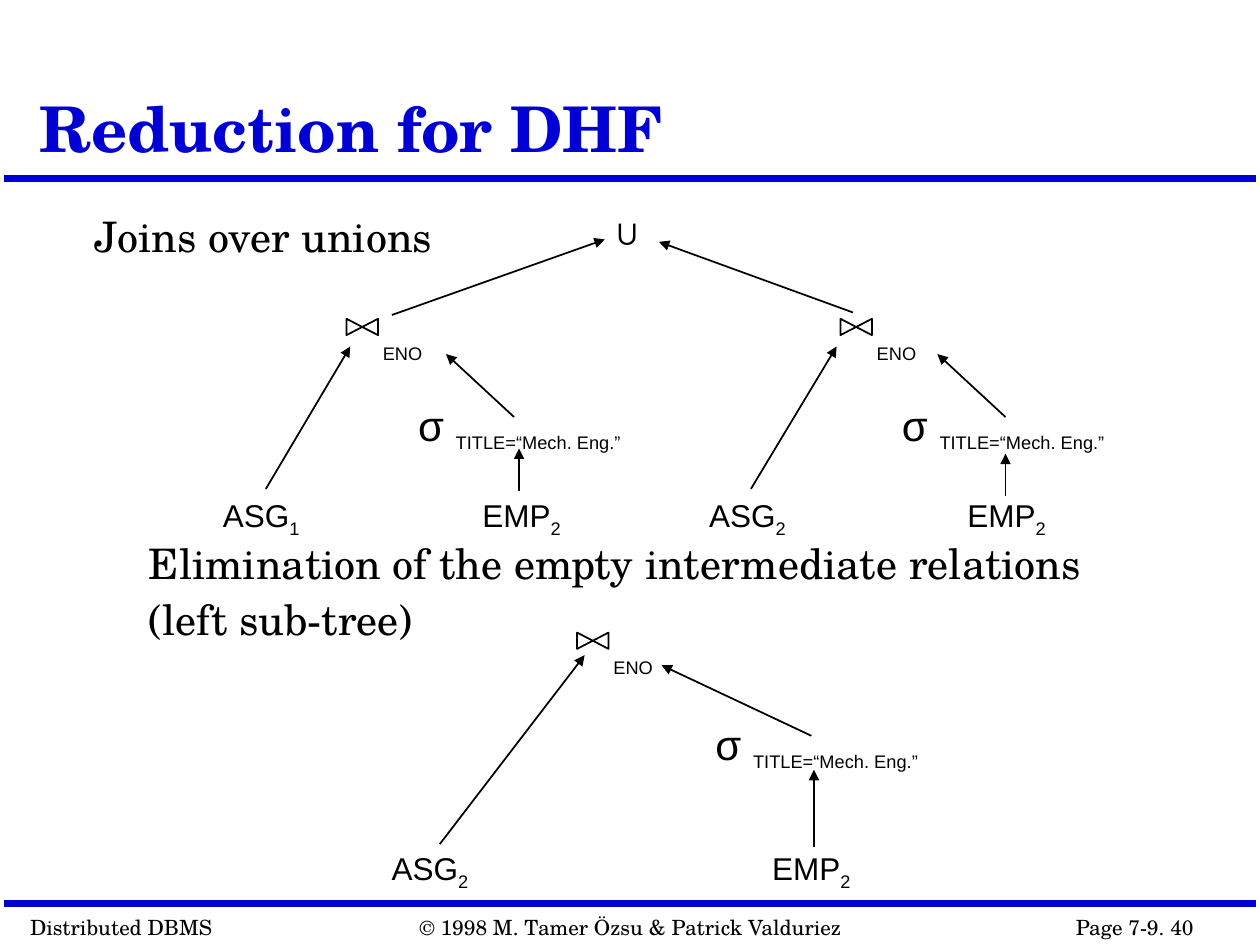
import dataclasses
import typing

import pptx
import pptx.dml.color
import pptx.enum.shapes
import pptx.enum.text
import pptx.oxml
import pptx.oxml.ns
import pptx.util

Inches = pptx.util.Inches
Point = tuple[float, float]
SERIF = "TeX Gyre Schola"
SANS = "Arial"
BLACK = "000000"
BLUE = "0000D4"
TEXT_FIT = pptx.enum.text.MSO_AUTO_SIZE


@dataclasses.dataclass(frozen=True)
class Words:
    text: str
    size: float
    font: str = SANS
    subscript: bool = False


@dataclasses.dataclass(frozen=True)
class Label:
    left: float
    top: float
    width: float
    height: float
    words: tuple[Words, ...]
    wrap: bool = False


@dataclasses.dataclass(frozen=True)
class Arrow:
    start: Point
    end: Point


def colour(value: str) -> pptx.dml.color.RGBColor:
    return pptx.dml.color.RGBColor.from_string(value)


def apply(target: typing.Any, values: dict[str, typing.Any]) -> None:
    for name, value in values.items():
        setattr(target, name, value)


def add_span(para, words: Words, ink: str = BLACK, bold: bool = False) -> None:
    span = para.add_run()
    apply(span, {"text": words.text})
    apply(span.font, {"name": words.font, "size": pptx.util.Pt(words.size), "bold": bold})
    span.font.color.rgb = colour(ink)
    if words.subscript:
        span._r.get_or_add_rPr().set("baseline", "-25000")


def add_label(page, label: Label):
    place = map(Inches, (label.left, label.top, label.width, label.height))
    box = page.shapes.add_textbox(*place)
    apply(box.text_frame, {"word_wrap": label.wrap, "auto_size": TEXT_FIT.SHAPE_TO_FIT_TEXT})
    for words in label.words:
        add_span(box.text_frame.paragraphs[0], words)
    return box


def add_line(page, start: Point, end: Point, ink: str, width: float):
    line = page.shapes.add_connector(
        pptx.enum.shapes.MSO_CONNECTOR.STRAIGHT, *map(Inches, start + end)
    )
    line.line.color.rgb = colour(ink)
    line.line.width = pptx.util.Pt(width)
    line._element.spPr.append(pptx.oxml.parse_xml(
        f'<a:effectLst {pptx.oxml.ns.nsdecls("a")}/>'
    ))
    return line


def add_arrow(page, arrow: Arrow) -> None:
    line = add_line(page, arrow.start, arrow.end, BLACK, 1)
    line.line._get_or_add_ln().append(pptx.oxml.parse_xml(
        f'<a:tailEnd {pptx.oxml.ns.nsdecls("a")} type="triangle"/>'
    ))


def add_join(page, left: float, top: float) -> None:
    add_label(page, Label(left, top, 0.56, 0.44, (Words("ENO", 18, subscript=True),), True))
    bowtie = page.shapes.add_shape(
        pptx.enum.shapes.MSO_SHAPE.FLOWCHART_COLLATE,
        *map(Inches, (left - 0.13, top - 0.03, 0.13, 0.25)),
    )
    apply(bowtie, {"rotation": 270})
    bowtie.shadow.inherit = False
    bowtie.fill.background()
    bowtie.line.color.rgb = colour(BLACK)
    bowtie.line.width = pptx.util.Pt(1)


def add_relation(page, left: float, top: float, name: str, index: str) -> None:
    words = (Words(name, 18), Words(index, 18, subscript=True))
    add_label(page, Label(left, top, 0.82, 0.44, words))


def add_selection(page, left: float, top: float) -> None:
    words = (Words("σ ", 24), Words("TITLE=“Mech. Eng.”", 18, subscript=True))
    add_label(page, Label(left, top, 1.88, 0.52, words))


def place_placeholder(shape, left: float, top: float, width: float, height: float) -> None:
    apply(shape, dict(zip(("left", "top", "width", "height"),
                          map(Inches, (left, top, width, height)))))
    apply(shape.text_frame, {"auto_size": TEXT_FIT.NONE, "word_wrap": True})


def fill_title(page) -> None:
    title = page.shapes.title
    place_placeholder(title, 0.21, 0.12, 7.83, 1.25)
    apply(title.text_frame, {"vertical_anchor": pptx.enum.text.MSO_ANCHOR.BOTTOM})
    para = title.text_frame.paragraphs[0]
    apply(para, {"alignment": pptx.enum.text.PP_ALIGN.LEFT, "line_spacing": 0.9})
    add_span(para, Words("Reduction for DHF", 36, SERIF), BLUE, True)


def fill_body(page) -> None:
    body = page.placeholders[1]
    place_placeholder(body, 1.08, 4.29, 7.83, 0.94)
    frame = body.text_frame
    lines = ("Elimination of the empty intermediate relations", "(left sub-tree)")
    for number, text in enumerate(lines):
        para = frame.add_paragraph() if number else frame.paragraphs[0]
        properties = para._p.get_or_add_pPr()
        apply(properties, {"marL": 0, "indent": 0})
        properties.append(pptx.oxml.parse_xml(f'<a:buNone {pptx.oxml.ns.nsdecls("a")}/>'))
        apply(para, {"line_spacing": 0.8, "space_before": pptx.util.Pt(9 if number else 0)})
        add_span(para, Words(text, 24, SERIF))


RULES = (1.42, 7.17)
FOOTERS = (
    (0.14, 1.65, "Distributed DBMS"),
    (3.23, 3.57, "© 1998 M. Tamer Özsu & Patrick Valduriez"),
    (8.44, 1.76, "Page 7-9. 40"),
)
JOINS = ((2.94, 2.5), (6.86, 2.5), (4.77, 4.99))
SELECTIONS = ((3.22, 3.12), (7.06, 3.12), (5.58, 5.65))
RELATIONS = (
    (1.67, 3.89, "ASG", "1"),
    (3.73, 3.89, "EMP", "2"),
    (5.53, 3.89, "ASG", "2"),
    (7.58, 3.89, "EMP", "2"),
    (3.01, 6.69, "ASG", "2"),
    (6.03, 6.69, "EMP", "2"),
)
ARROWS = (
    Arrow((3.11, 2.5), (4.8, 1.9)),
    Arrow((6.77, 2.48), (5.23, 1.92)),
    Arrow((2.11, 3.88), (2.78, 2.75)),
    Arrow((4.08, 3.31), (3.54, 2.81)),
    Arrow((4.12, 3.9), (4.12, 3.56)),
    Arrow((5.96, 3.88), (6.64, 2.75)),
    Arrow((7.98, 3.31), (7.44, 2.81)),
    Arrow((7.98, 3.94), (7.98, 3.6)),
    Arrow((3.49, 6.7), (4.64, 5.2)),
    Arrow((6.44, 5.84), (5.25, 5.28)),
    Arrow((6.46, 6.72), (6.46, 6.11)),
)


def main() -> None:
    deck = pptx.Presentation()
    apply(deck, {"slide_width": Inches(10), "slide_height": Inches(7.5)})
    page = deck.slides.add_slide(deck.slide_layouts[1])
    for height in RULES:
        add_line(page, (0.03, height), (9.97, height), BLUE, 4)
    for left, width, text in FOOTERS:
        add_label(page, Label(left, 7.21, width, 0.3, (Words(text, 12, SERIF),)))
    fill_title(page)
    fill_body(page)
    topic = add_label(page, Label(
        0.65, 1.5, 3.17, 0.53, (Words("Joins over unions", 24, SERIF),), True
    ))
    apply(topic.text_frame, {"auto_size": TEXT_FIT.NONE})
    apply(topic.text_frame.paragraphs[0], {"line_spacing": 1.3})
    add_label(page, Label(4.78, 1.62, 0.42, 0.43, (Words("∪", 20),)))
    for relation in RELATIONS:
        add_relation(page, *relation)
    for selection in SELECTIONS:
        add_selection(page, *selection)
    for arrow in ARROWS:
        add_arrow(page, arrow)
    for join in JOINS:
        add_join(page, *join)
    deck.save("out.pptx")


if __name__ == "__main__":
    main()
